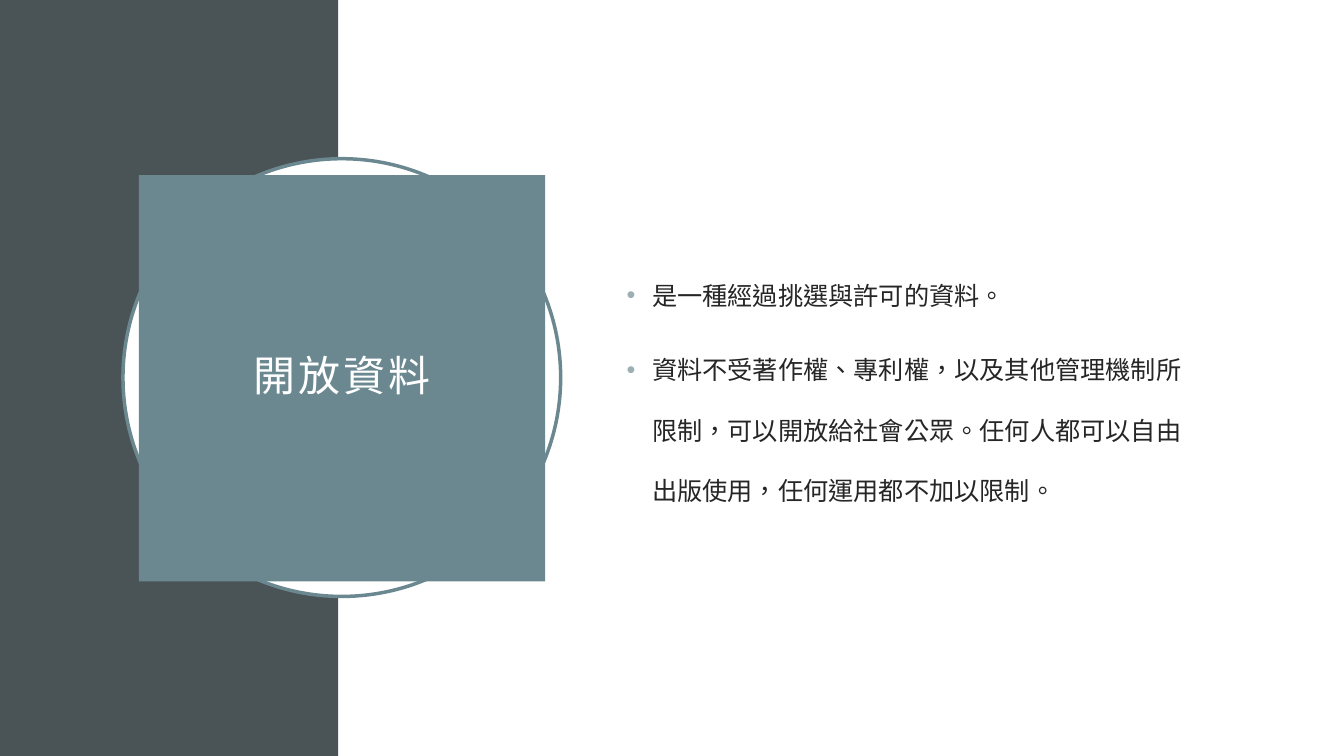
from dataclasses import dataclass
from lxml.etree import SubElement
from pptx import Presentation
from pptx.dml.color import RGBColor
from pptx.enum.lang import MSO_LANGUAGE_ID as Language
from pptx.enum.shapes import MSO_SHAPE as Shape
from pptx.enum.text import MSO_ANCHOR as Anchor, MSO_AUTO_SIZE as AutoSize, PP_ALIGN as Align
from pptx.oxml.ns import qn
from pptx.util import Cm, Pt


@dataclass(frozen=True)
class Theme:
    dark: RGBColor = RGBColor.from_string("4A5356")
    accent: RGBColor = RGBColor.from_string("6B8891")
    bullet: str = "9BAFB5"
    ink: RGBColor = RGBColor.from_string("262626")
    white: RGBColor = RGBColor.from_string("FFFFFF")
    title_font: str = "Noto Sans CJK TC"
    body_font: str = "Calibri"
    title_size: Pt = Pt(30)
    body_size: Pt = Pt(18)


theme = Theme()


def place(shape, left, top, width, height):
    shape.left, shape.top = Cm(left), Cm(top)
    shape.width, shape.height = Cm(width), Cm(height)


def format_run(run, font_name, size, color):
    run.font.name = font_name
    run.font.size = size
    run.font.color.rgb = color
    run.font.language_id = Language.TRADITIONAL_CHINESE
    properties = run.font._element
    SubElement(properties, qn("a:ea")).set("typeface", font_name)


presentation = Presentation()
presentation.slide_width = Cm(33.87)
presentation.slide_height = Cm(19.05)
slide = presentation.slides.add_slide(presentation.slide_layouts[1])
title, body = slide.placeholders

side_width = 8.53
panels = [
    (0, side_width, theme.dark),
    (side_width, 33.87 - side_width, theme.white),
]
for left, width, color in panels:
    panel = slide.shapes.add_shape(Shape.RECTANGLE, Cm(left), 0, Cm(width), Cm(19.05))
    panel.shadow.inherit = False
    panel.fill.solid()
    panel.fill.fore_color.rgb = color
    panel.line.fill.background()

ring = slide.shapes.add_shape(Shape.OVAL, Cm(3.1), Cm(4), Cm(11.03), Cm(11.03))
ring.shadow.inherit = False
ring.fill.solid()
ring.fill.fore_color.rgb = theme.white
ring.line.color.rgb = theme.accent
ring.line.width = Pt(2.5)

for placeholder in (title, body):
    slide.shapes._spTree.append(placeholder._element)
    placeholder.text_frame.word_wrap = True
    placeholder.text_frame.auto_size = AutoSize.NONE
    placeholder.text_frame.vertical_anchor = Anchor.MIDDLE

place(title, 3.5, 4.41, 10.24, 10.24)
title.fill.solid()
title.fill.fore_color.rgb = theme.accent
frame = title.text_frame
frame.margin_left = frame.margin_right = frame.margin_top = frame.margin_bottom = Cm(0.5)
frame.text = "開放資料"
paragraph = frame.paragraphs[0]
paragraph.alignment = Align.CENTER
paragraph.line_spacing = 0.9
format_run(paragraph.runs[0], theme.title_font, theme.title_size, theme.white)
paragraph.runs[0].font._element.set("spc", "200")

place(body, 15.54, 3.89, 14.78, 11.25)
body.text_frame.text = "\n".join([
    "是一種經過挑選與許可的資料。",
    "資料不受著作權、專利權，以及其他管理機制所限制，可以開放給社會公眾。任何人都可以自由出版使用，任何運用都不加以限制。",
])
for paragraph in body.text_frame.paragraphs:
    paragraph.line_spacing = 2.0
    paragraph.space_before = Pt(10)
    properties = paragraph._p.get_or_add_pPr()
    properties.set("marL", str(Cm(0.64)))
    properties.set("indent", str(-Cm(0.64)))
    bullet_color = SubElement(properties, qn("a:buClr"))
    SubElement(bullet_color, qn("a:srgbClr")).set("val", theme.bullet)
    SubElement(properties, qn("a:buFont")).set("typeface", "Arial")
    SubElement(properties, qn("a:buChar")).set("char", "•")
    format_run(paragraph.runs[0], theme.body_font, theme.body_size, theme.ink)

presentation.save("out.pptx")
